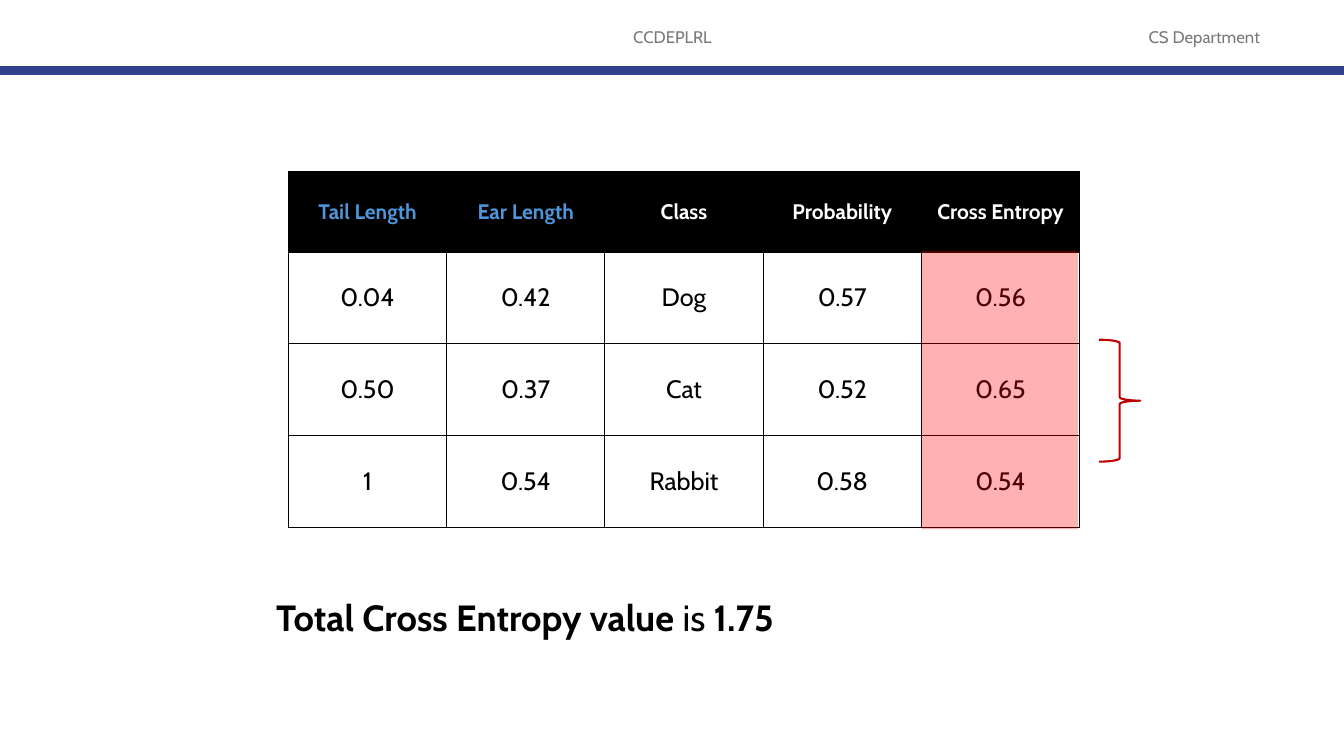
from pptx import Presentation
from pptx.dml.color import RGBColor
from pptx.enum.shapes import MSO_CONNECTOR, MSO_SHAPE
from pptx.enum.text import MSO_ANCHOR, PP_ALIGN
from pptx.oxml import parse_xml
from pptx.oxml.ns import nsdecls, qn
from pptx.util import Inches, Pt
from lxml import etree

FONT = "Cabin"
BLACK, WHITE, GREY = "000000", "FFFFFF", "797979"
SKY, NAVY, RED, DARK_RED = "4E95D9", "32418C", "FF0000", "C00000"


def rgb(color):
    return RGBColor.from_string(color)


def style(r, size, color, bold=False):
    r.font.name, r.font.size, r.font.bold = FONT, Pt(size), bold
    r.font.color.rgb = rgb(color)


prs = Presentation()
prs.slide_width, prs.slide_height = Inches(13.33), Inches(7.5)
slide = prs.slides.add_slide(prs.slide_layouts[6])
shapes = slide.shapes

# Header
for text, left, width in [("CCDEPLRL", 4.42, 4.5), ("CS Department", 10.92, 2.05)]:
    tf = shapes.add_textbox(Inches(left), Inches(0.17), Inches(width), Inches(0.4)).text_frame
    tf.word_wrap = True
    tf.vertical_anchor = MSO_ANCHOR.MIDDLE
    tf.text = text
    p = tf.paragraphs[0]
    p.alignment = PP_ALIGN.CENTER
    style(p.runs[0], 12, GREY)

rule = shapes.add_connector(MSO_CONNECTOR.STRAIGHT, 0, Inches(0.7), prs.slide_width, Inches(0.7))
rule.line.color.rgb = rgb(NAVY)
rule.line.width = Pt(6)
etree.SubElement(rule._element.spPr, qn("a:effectLst"))

# Table
rows = [
    ["Tail Length", "Ear Length", "Class", "Probability", "Cross Entropy"],
    ["0.04", "0.42", "Dog", "0.57", "0.56"],
    ["0.50", "0.37", "Cat", "0.52", "0.65"],
    ["1", "0.54", "Rabbit", "0.58", "0.54"],
]
table = shapes.add_table(4, 5, Inches(2.86), Inches(1.7), Inches(7.84), Inches(3.54)).table
for col in table.columns:
    col.width = Inches(1.57)
for i, values in enumerate(rows):
    header = i == 0
    table.rows[i].height = Inches(0.8 if header else 0.91)
    for j, value in enumerate(values):
        cell = table.cell(i, j)
        cell.text = value
        cell.vertical_anchor = MSO_ANCHOR.MIDDLE
        p = cell.text_frame.paragraphs[0]
        p.alignment = PP_ALIGN.CENTER
        if header:
            style(p.runs[0], 15, SKY if j < 2 else WHITE, True)
        else:
            style(p.runs[0], 18, BLACK)
        tcPr = cell._tc.get_or_add_tcPr()
        for side in ("lnL", "lnR", "lnT", "lnB"):
            tcPr.append(parse_xml(
                f'<a:{side} {nsdecls("a")} w="{Pt(1)}"><a:solidFill>'
                f'<a:srgbClr val="{BLACK}"/></a:solidFill></a:{side}>'))
        cell.fill.solid()
        cell.fill.fore_color.rgb = rgb(BLACK if header else WHITE)

# Cross entropy highlight and brace
highlight = shapes.add_shape(
    MSO_SHAPE.RECTANGLE, Inches(9.14), Inches(2.49), Inches(1.55), Inches(2.76))
highlight.shadow.inherit = False
highlight.fill.solid()
highlight.fill.fore_color.rgb = rgb(RED)
highlight.line.fill.background()
red = highlight._element.spPr.find(qn("a:solidFill")).find(qn("a:srgbClr"))
etree.SubElement(red, qn("a:alpha"), val="30000")

brace = shapes.add_shape(
    MSO_SHAPE.RIGHT_BRACE, Inches(10.9), Inches(3.37), Inches(0.41), Inches(1.21))
brace.shadow.inherit = False
brace.fill.background()
brace.line.color.rgb = rgb(DARK_RED)
brace.line.width = Pt(1.5)

# Total
tf = shapes.add_textbox(Inches(2.64), Inches(5.9), Inches(8.73), Inches(0.89)).text_frame
tf.word_wrap = True
p = tf.paragraphs[0]
p.line_spacing = 0.9
for text, bold in [("Total Cross Entropy value ", True), ("is", False), (" 1.75", True)]:
    r = p.add_run()
    r.text = text
    style(r, 26, BLACK, bold)

prs.save("out.pptx")
